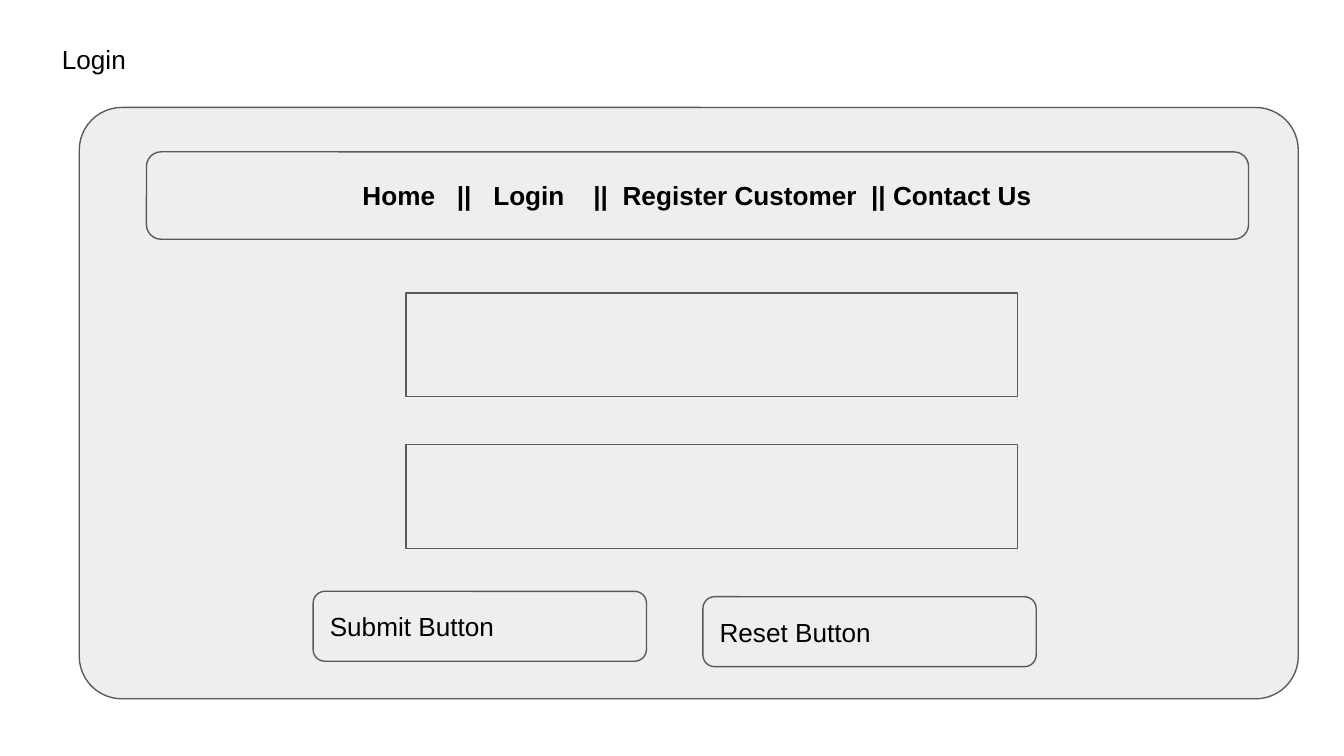
import pptx
import pptx.util
from pptx.dml.color import RGBColor
from pptx.enum.shapes import MSO_SHAPE
from pptx.enum.text import MSO_ANCHOR, MSO_AUTO_SIZE, PP_ALIGN

BLACK = RGBColor(0x00, 0x00, 0x00)
PANEL_GREY = RGBColor(0xEE, 0xEE, 0xEE)
OUTLINE_GREY = RGBColor(0x59, 0x59, 0x59)

# Square grid on a 16:9 slide
CELL = pptx.util.Inches(0.1)
COLUMNS = 100
ROWS = COLUMNS * 9 / 16

INSET = pptx.util.Inches(0.1)
FRAME_FORMAT = {
    "margin_left": INSET, "margin_top": INSET,
    "margin_right": INSET, "margin_bottom": INSET,
    "word_wrap": True,
}
FONT_FORMAT = {"name": "Arial", "size": pptx.util.Pt(14)}


def apply_format(target, values):
    for attribute, value in values.items():
        setattr(target, attribute, value)


def grid(*cells):
    return [round(cell * CELL) for cell in cells]


def inside(box, left, top, width, height):
    """Turn a place relative to a box into a place on the slide."""
    return box[0] + left, box[1] + top, width, height


def write(frame, wording, anchor, align=PP_ALIGN.LEFT, bold=False):
    apply_format(frame, {**FRAME_FORMAT, "vertical_anchor": anchor})
    paragraph = frame.paragraphs[0]
    paragraph.alignment = align
    label = paragraph.add_run()
    label.text = wording
    apply_format(label.font, {**FONT_FORMAT, "bold": bold})
    label.font.color.rgb = BLACK


def add_block(slide, box, corner=None):
    """Grey outlined block, rounded when a corner ratio is given."""
    kind = MSO_SHAPE.RECTANGLE if corner is None else MSO_SHAPE.ROUNDED_RECTANGLE
    block = slide.shapes.add_shape(kind, *grid(*box))
    if corner is not None:
        block.adjustments[0] = corner
    block.shadow.inherit = False
    block.fill.solid()
    block.fill.fore_color.rgb = PANEL_GREY
    block.line.color.rgb = OUTLINE_GREY
    block.line.width = pptx.util.Pt(0.75)
    return block


def add_heading(slide, box):
    heading = slide.shapes.title
    apply_format(heading, dict(zip(("left", "top", "width", "height"), grid(*box))))
    write(heading.text_frame, "Login", MSO_ANCHOR.TOP)
    heading.text_frame.auto_size = MSO_AUTO_SIZE.SHAPE_TO_FIT_TEXT


def add_fields(slide, box):
    width, height, pitch = 45.5, 7.7, 11.3
    for row in range(2):
        add_block(slide, inside(box, 0, row * pitch, width, height))


def add_buttons(slide, box):
    width, height, pitch, drop = 24.8, 5.2, 29, 0.4
    for column, caption in enumerate(("Submit Button", "Reset Button")):
        place = inside(box, column * pitch, column * drop, width, height)
        button = add_block(slide, place, corner=0.167)
        write(button.text_frame, caption, MSO_ANCHOR.MIDDLE)


def add_navigation(slide, box):
    navigation = add_block(slide, box, corner=0.167)
    write(navigation.text_frame,
          "Home   ||   Login    ||  Register Customer  || Contact Us",
          MSO_ANCHOR.MIDDLE, PP_ALIGN.CENTER, bold=True)


def add_login_page(slide, box):
    add_block(slide, box, corner=0.072)
    add_fields(slide, inside(box, 24.3, 13.8, 45.5, 19))
    add_buttons(slide, inside(box, 17.4, 36, 53.8, 5.6))
    add_navigation(slide, inside(box, 5, 3.3, 82, 6.5))


def main():
    deck = pptx.Presentation()
    deck.slide_width, deck.slide_height = grid(COLUMNS, ROWS)
    slide = deck.slides.add_slide(deck.slide_layouts.get_by_name("Title Only"))
    add_heading(slide, (3.6, 2.2, 94, 4.4))
    add_login_page(slide, (5.9, 8, 90.7, 44))
    deck.save("out.pptx")


if __name__ == "__main__":
    main()
